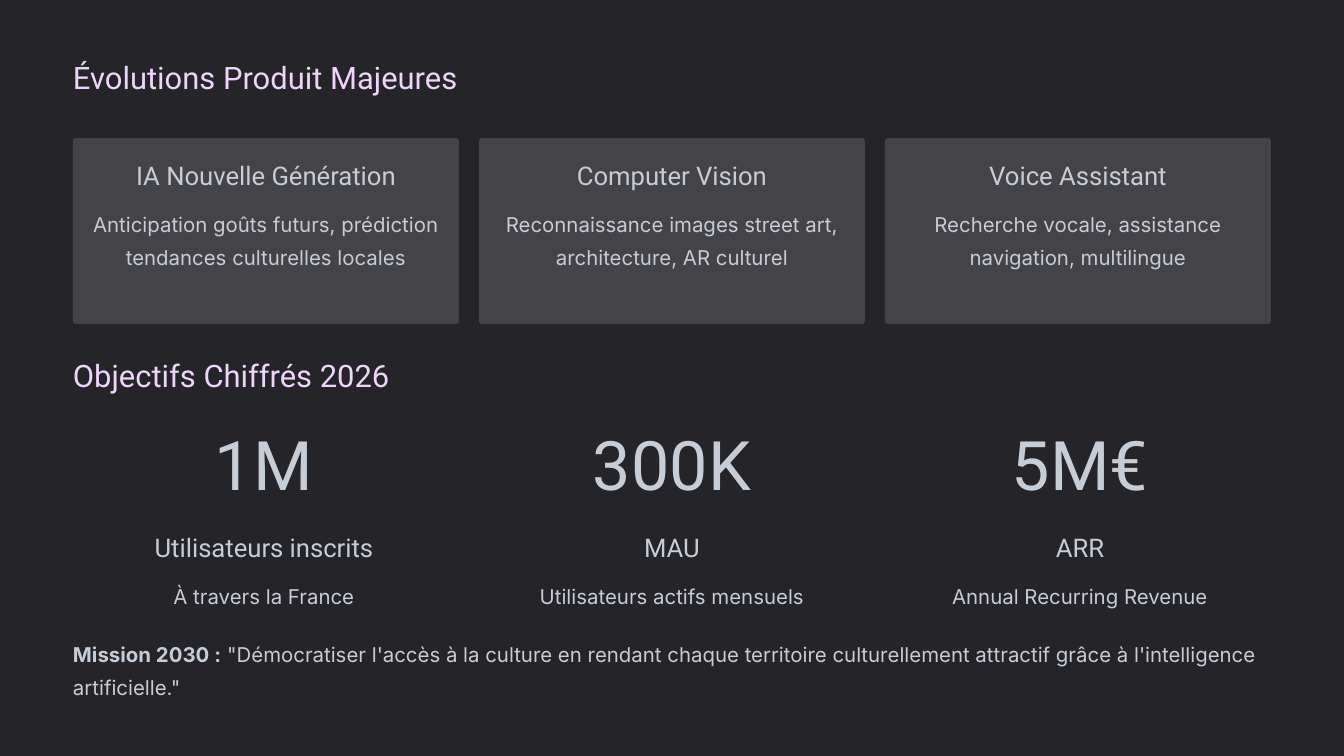
from dataclasses import dataclass

from pptx import Presentation
from pptx.dml.color import RGBColor
from pptx.enum import shapes, text
from pptx.util import Pt

EMU_PER_PX = 914400 / 84

BACKGROUND = RGBColor(0x24, 0x24, 0x29)
CARD = RGBColor(0x43, 0x43, 0x48)
PINK = RGBColor(0xEF, 0xD5, 0xFA)
GREY = RGBColor(0xC7, 0xCD, 0xD6)

LEFT = text.PP_ALIGN.LEFT
CENTER = text.PP_ALIGN.CENTER


def px(length):
    return round(length * EMU_PER_PX)


@dataclass(frozen=True)
class Style:
    font: str
    size: float
    line: float
    color: RGBColor = GREY


HEADING = Style("Roboto", 26.5, 33, PINK)
LABEL = Style("Roboto", 22, 27.5)
FIGURE = Style("Roboto", 58.5, 58.5)
BODY = Style("Inter", 17.5, 28.5)


class Deck:
    def __init__(self, width, height):
        self.prs = Presentation()
        self.prs.slide_width, self.prs.slide_height = px(width), px(height)
        self.slide = self.prs.slides.add_slide(self.prs.slide_layouts[5])
        fill = self.slide.background.fill
        fill.solid()
        fill.fore_color.rgb = BACKGROUND

    def set_text(self, box, runs, style, align):
        frame = box.text_frame
        frame.word_wrap = True
        frame.auto_size = text.MSO_AUTO_SIZE.NONE
        frame.vertical_anchor = text.MSO_ANCHOR.TOP
        frame.margin_left = frame.margin_right = 0
        frame.margin_top = frame.margin_bottom = 0
        paragraph = frame.paragraphs[0]
        paragraph.alignment = align
        paragraph.line_spacing = Pt(style.line)
        paragraph.space_before = Pt(0)
        paragraph.font.name = style.font
        paragraph.font.size = Pt(style.size)
        paragraph.font.color.rgb = style.color
        for words, bold in runs:
            run = paragraph.add_run()
            run.text = words
            # Bold stays on the run only where it differs
            if bold:
                run.font.bold = True

    def title(self, words, x, y, w, h):
        title = self.slide.shapes.title
        title.left, title.top, title.width, title.height = map(px, (x, y, w, h))
        self.set_text(title, [(words, False)], HEADING, LEFT)

    def rich_text(self, runs, x, y, w, h, style, align=LEFT):
        box = self.slide.shapes.add_textbox(*map(px, (x, y, w, h)))
        self.set_text(box, runs, style, align)

    def text(self, words, x, y, w, h, style, align=LEFT):
        self.rich_text([(words, False)], x, y, w, h, style, align)

    def card(self, label, description, x, y, w, h):
        panel = self.slide.shapes.add_shape(
            shapes.MSO_SHAPE.ROUNDED_RECTANGLE, *map(px, (x, y, w, h)))
        panel.adjustments[0] = 0.017
        panel.shadow.inherit = False
        panel.fill.solid()
        panel.fill.fore_color.rgb = CARD
        panel.line.fill.background()
        inner = w - 40
        self.text(label, x + 20, y + 21, inner, 33, LABEL, CENTER)
        self.text(description, x + 20, y + 65, inner, 100, BODY, CENTER)

    def metric(self, figure, label, detail, x, y, w):
        self.text(figure, x, y, w, 69, FIGURE, CENTER)
        self.text(label, x, y + 95, w, 33, LABEL, CENTER)
        self.text(detail, x, y + 139, w, 34, BODY, CENTER)


PRODUCTS = [
    ("IA Nouvelle Génération",
     "Anticipation goûts futurs, prédiction tendances culturelles locales"),
    ("Computer Vision",
     "Reconnaissance images street art, architecture, AR culturel"),
    ("Voice Assistant",
     "Recherche vocale, assistance navigation, multilingue"),
]
TARGETS = [
    ("1M", "Utilisateurs inscrits", "À travers la France"),
    ("300K", "MAU", "Utilisateurs actifs mensuels"),
    ("5M€", "ARR", "Annual Recurring Revenue"),
]
MISSION = [
    ("Mission 2030 :", True),
    (" \"Démocratiser l'accès à la culture en rendant chaque territoire "
     "culturellement attractif grâce à l'intelligence artificielle.\"", False),
]
MARGIN = 73


def main():
    deck = Deck(1344, 756)

    # Product cards
    deck.title("Évolutions Produit Majeures", MARGIN, 57, 405, 39)
    for column, product in enumerate(PRODUCTS):
        deck.card(*product, MARGIN + 406 * column, 138, 386, 186)

    # Targets
    deck.text("Objectifs Chiffrés 2026", MARGIN, 355, 405, 39, HEADING)
    for column, target in enumerate(TARGETS):
        deck.metric(*target, MARGIN + 408 * column, 436, 382)

    # Mission
    deck.rich_text(MISSION, MARGIN, 633, 1199, 66, BODY)

    deck.prs.save("out.pptx")


if __name__ == "__main__":
    main()
